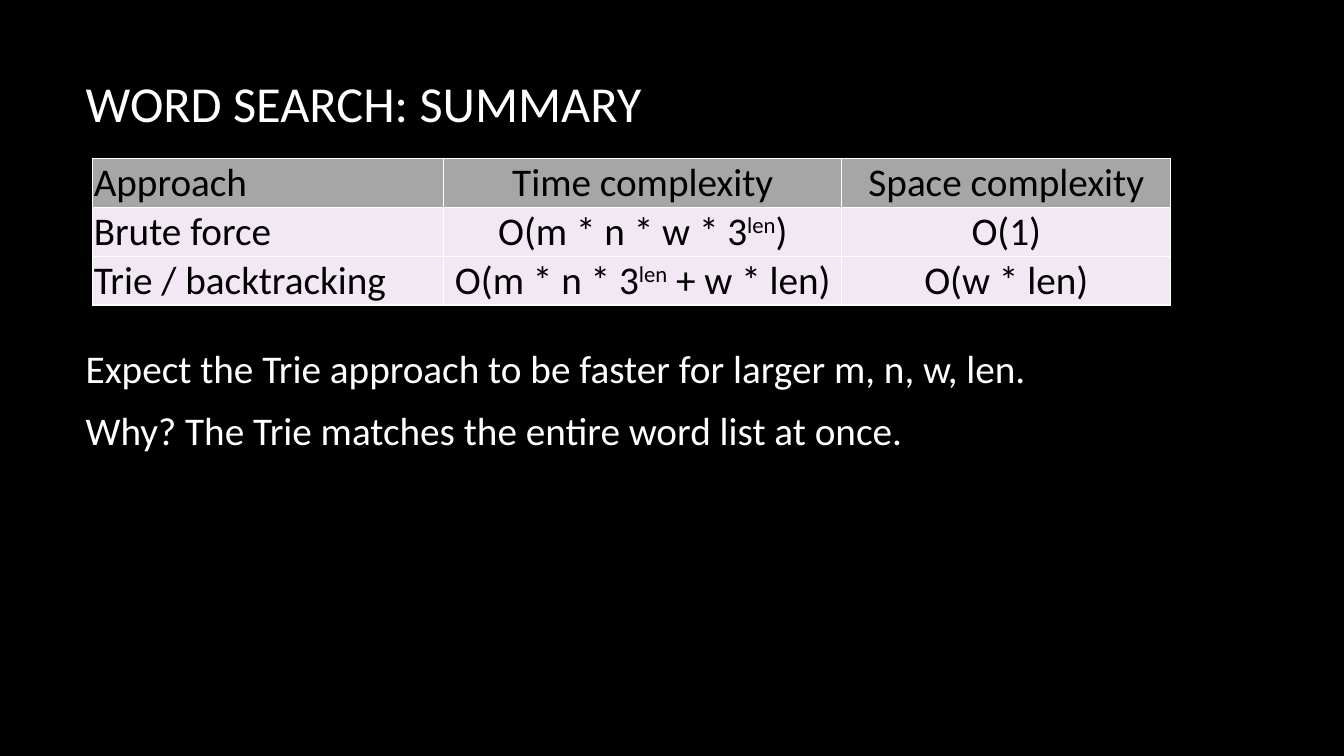
from lxml.etree import SubElement
from pptx import Presentation
from pptx.dml.color import RGBColor
from pptx.enum.text import MSO_ANCHOR, MSO_AUTO_SIZE, PP_ALIGN
from pptx.oxml.ns import qn
from pptx.util import Inches, Pt

TITLE = "WORD SEARCH: SUMMARY"
NOTES = [
    "Expect the Trie approach to be faster for larger m, n, w, len.",
    "Why? The Trie matches the entire word list at once.",
]
# Each cell is a list of runs; a run starting with ^ is superscript
ROWS = [
    [["Approach"], ["Time complexity"], ["Space complexity"]],
    [["Brute force"], ["O(m * n * w * 3", "^len", ")"], ["O(1)"]],
    [["Trie / backtracking"], ["O(m * n * 3", "^len", " + w * len)"], ["O(w * len)"]],
]
COL_WIDTHS = [3.48, 3.95, 3.26]
ROW_HEIGHT = 0.46
COLORS = {"back": "000000", "light": "FFFFFF", "dark": "000000",
          "header": "A6A6A6", "row": "F1E8F4"}
FONT = "Calibri"


def rgb(name):
    return RGBColor.from_string(COLORS[name])


def add_run(p, text, size, color):
    r = p.add_run()
    r.text = text.removeprefix("^")
    r.font.name, r.font.size = FONT, Pt(size)
    r.font.color.rgb = rgb(color)
    if text.startswith("^"):
        r._r.get_or_add_rPr().set("baseline", "30000")


def place(sp, left, top, width, height):
    sp.left, sp.top = Inches(left), Inches(top)
    sp.width, sp.height = Inches(width), Inches(height)
    tf = sp.text_frame
    tf.word_wrap = True
    tf.auto_size = MSO_AUTO_SIZE.NONE
    tf.vertical_anchor = MSO_ANCHOR.TOP
    return tf


def add_borders(cell):
    tc_pr = cell._tc.get_or_add_tcPr()
    for side in ("lnL", "lnR", "lnT", "lnB"):
        ln = SubElement(tc_pr, qn(f"a:{side}"), w=str(Pt(1)))
        fill = SubElement(ln, qn("a:solidFill"))
        SubElement(fill, qn("a:srgbClr"), val=COLORS["light"])


prs = Presentation()
prs.slide_width, prs.slide_height = Inches(13.33), Inches(7.5)
s = prs.slides.add_slide(prs.slide_layouts[1])
s.background.fill.solid()
s.background.fill.fore_color.rgb = rgb("back")

# Title
p = place(s.shapes.title, 0.75, 0.67, 11.08, 1.59).paragraphs[0]
p.alignment = PP_ALIGN.LEFT
add_run(p, TITLE, 36, "light")

# Body
tf = place(s.placeholders[1], 0.75, 3.37, 11.5, 2.56)
for i, note in enumerate(NOTES):
    p = tf.add_paragraph() if i else tf.paragraphs[0]
    p.space_before, p.space_after = Pt(0), Pt(10)
    p_pr = p._p.get_or_add_pPr()
    p_pr.set("marL", "0")
    p_pr.set("indent", "0")
    SubElement(p_pr, qn("a:buNone"))
    add_run(p, note, 28, "light")

# Complexity table
table = s.shapes.add_table(
    len(ROWS), len(COL_WIDTHS), Inches(0.92), Inches(1.57),
    Inches(sum(COL_WIDTHS)), Inches(ROW_HEIGHT * len(ROWS))).table
table.first_row = table.horz_banding = False
for col, width in zip(table.columns, COL_WIDTHS):
    col.width = Inches(width)
for i, row in enumerate(ROWS):
    table.rows[i].height = Inches(ROW_HEIGHT)
    for j, runs in enumerate(row):
        cell = table.cell(i, j)
        add_borders(cell)
        cell.fill.solid()
        cell.fill.fore_color.rgb = rgb("row" if i else "header")
        cell.vertical_anchor = MSO_ANCHOR.BOTTOM
        cell.margin_left = cell.margin_right = cell.margin_top = Inches(0.01)
        cell.margin_bottom = 0
        p = cell.text_frame.paragraphs[0]
        p.alignment = PP_ALIGN.CENTER if j else PP_ALIGN.LEFT
        for text in runs:
            add_run(p, text, 28, "dark")

prs.save("out.pptx")
